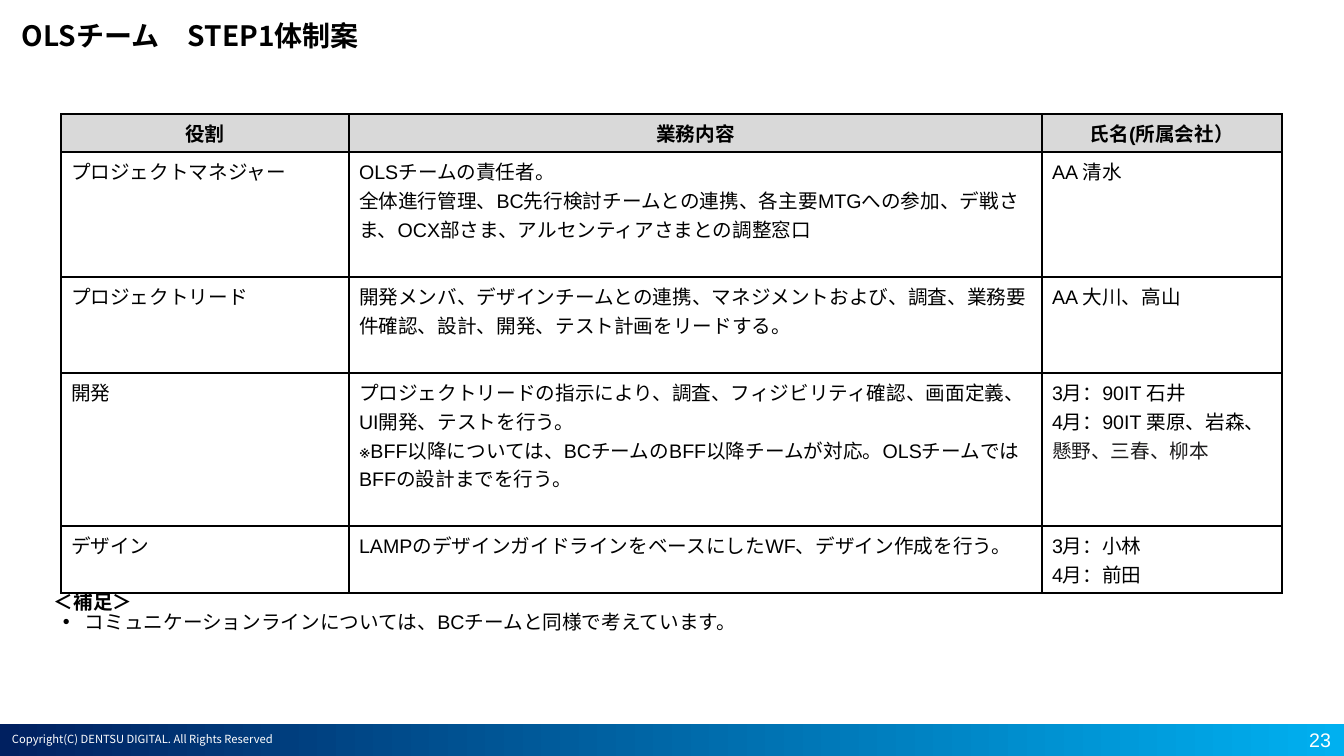
"""Build the OLS team STEP1 organisation slide."""
import pptx
import pptx.dml.color
import pptx.enum.shapes
import pptx.enum.text
import pptx.util
from lxml import etree
from pptx.oxml.ns import qn

PX = 914400 / 100.8
BLACK = pptx.dml.color.RGBColor(0x00, 0x00, 0x00)
WHITE = pptx.dml.color.RGBColor(0xFF, 0xFF, 0xFF)
HEADER_GREY = pptx.dml.color.RGBColor(0xD9, 0xD9, 0xD9)
NAVY = pptx.dml.color.RGBColor(0x00, 0x20, 0x60)
SKY = pptx.dml.color.RGBColor(0x00, 0xB0, 0xF0)
CHARCOAL = pptx.dml.color.RGBColor(0x1D, 0x1C, 0x1D)
CJK = "Noto Sans CJK JP"
ALIGN = pptx.enum.text.PP_ALIGN
ANCHOR = pptx.enum.text.MSO_ANCHOR


def px(*lengths):
    return [pptx.util.Emu(round(length * PX)) for length in lengths]


def write(paragraph, text, size=14, face="Arial", color=BLACK, bold=False):
    run = paragraph.add_run()
    run.text = text
    look = {"size": pptx.util.Pt(size), "name": face, "bold": bold}
    for key, value in look.items():
        setattr(run.font, key, value)
    run.font.color.rgb = color
    east_asian = etree.SubElement(run.font._element, qn("a:ea"))
    east_asian.set("typeface", CJK)


deck = pptx.Presentation()
deck.slide_width, deck.slide_height = px(1344, 756)
slide = deck.slides.add_slide(deck.slide_layouts[6])

footer = slide.shapes.add_shape(
    pptx.enum.shapes.MSO_SHAPE.RECTANGLE, *px(0, 724, 1344, 32))
footer.shadow.inherit = False
footer.line.fill.background()
footer.fill.gradient()
footer.fill.gradient_angle = 0
for stop, color, position in zip(footer.fill.gradient_stops, (NAVY, SKY), (0, 1)):
    stop.color.rgb = color
    stop.position = position

labels = [
    ((2, 727, 335, 24), "Copyright(C) DENTSU DIGITAL. All Rights Reserved",
     {"size": 8, "face": CJK, "color": WHITE}, {}, {}),
    ((22, 17, 1246, 40), "OLSチーム　STEP1体制案",
     {"size": 20, "face": CJK, "bold": True},
     {"vertical_anchor": ANCHOR.MIDDLE, "margin_left": 0, "margin_right": 0,
      "margin_top": 0, "margin_bottom": 0},
     {"line_spacing": 0.9}),
    ((1243, 728, 98, 23), "23", {"color": WHITE},
     {"vertical_anchor": ANCHOR.MIDDLE}, {"alignment": ALIGN.RIGHT}),
]
for place, text, look, frame_format, paragraph_format in labels:
    frame = slide.shapes.add_textbox(*px(*place)).text_frame
    frame.word_wrap = True
    for key, value in frame_format.items():
        setattr(frame, key, value)
    for key, value in paragraph_format.items():
        setattr(frame.paragraphs[0], key, value)
    write(frame.paragraphs[0], text, **look)

roles = [
    (38, ["役割"], ["業務内容"], ["氏名(所属会社）"]),
    (125, ["プロジェクトマネジャー"],
     ["OLSチームの責任者。",
      "全体進行管理、BC先行検討チームとの連携、各主要MTGへの参加、デ戦さま、"
      "OCX部さま、アルセンティアさまとの調整窓口"],
     ["AA 清水"]),
    (96, ["プロジェクトリード"],
     ["開発メンバ、デザインチームとの連携、マネジメントおよび、調査、"
      "業務要件確認、設計、開発、テスト計画をリードする。"],
     ["AA 大川、高山"]),
    (153, ["開発"],
     ["プロジェクトリードの指示により、調査、フィジビリティ確認、画面定義、"
      "UI開発、テストを行う。",
      "※BFF以降については、BCチームのBFF以降チームが対応。"
      "OLSチームではBFFの設計までを行う。"],
     ["3月：90IT 石井", "4月：90IT 栗原、岩森、"]),
    (67, ["デザイン"],
     ["LAMPのデザインガイドラインをベースにしたWF、デザイン作成を行う。"],
     ["3月：小林", "4月：前田"]),
]
role_table = slide.shapes.add_table(
    len(roles), 3, *px(61, 114, 1221, 479)).table
role_table.first_row = False
role_table.horz_banding = False
for column, width in zip(role_table.columns, px(288, 693, 240)):
    column.width = width
for row_index, (height, *contents) in enumerate(roles):
    is_header = row_index == 0
    role_table.rows[row_index].height = px(height)[0]
    for cell, lines in zip(role_table.rows[row_index].cells, contents):
        for line_index, line in enumerate(lines):
            frame = cell.text_frame
            paragraph = frame.add_paragraph() if line_index else frame.paragraphs[0]
            paragraph.alignment = ALIGN.CENTER if is_header else ALIGN.LEFT
            write(paragraph, line, bold=is_header)
        cell_format = cell._tc.get_or_add_tcPr()
        for side in ("a:lnL", "a:lnR", "a:lnT", "a:lnB"):
            border = etree.SubElement(cell_format, qn(side), w="12700")
            solid = etree.SubElement(border, qn("a:solidFill"))
            etree.SubElement(solid, qn("a:srgbClr"), val=str(BLACK))
        if is_header:
            cell.fill.solid()
            cell.fill.fore_color.rgb = HEADER_GREY
        else:
            cell.fill.background()
developers = role_table.cell(3, 2).text_frame.paragraphs[1]
write(developers, "懸野、三春、柳本", color=CHARCOAL)

supplement = slide.shapes.add_textbox(*px(44, 589, 1286, 121)).text_frame
supplement.word_wrap = True
heading = supplement.paragraphs[0]
note = supplement.add_paragraph()
note_format = note._p.get_or_add_pPr()
for key, length in {"marL": 31, "indent": -22}.items():
    note_format.set(key, str(px(length)[0]))
etree.SubElement(note_format, qn("a:buFont"), typeface="Arial")
etree.SubElement(note_format, qn("a:buChar"), char="•")
for paragraph in (heading, note):
    paragraph.line_spacing = 0.83
write(heading, "＜補足＞", bold=True)
write(note, "コミュニケーションラインについては、BCチームと同様で考えています。")

deck.save("out.pptx")
